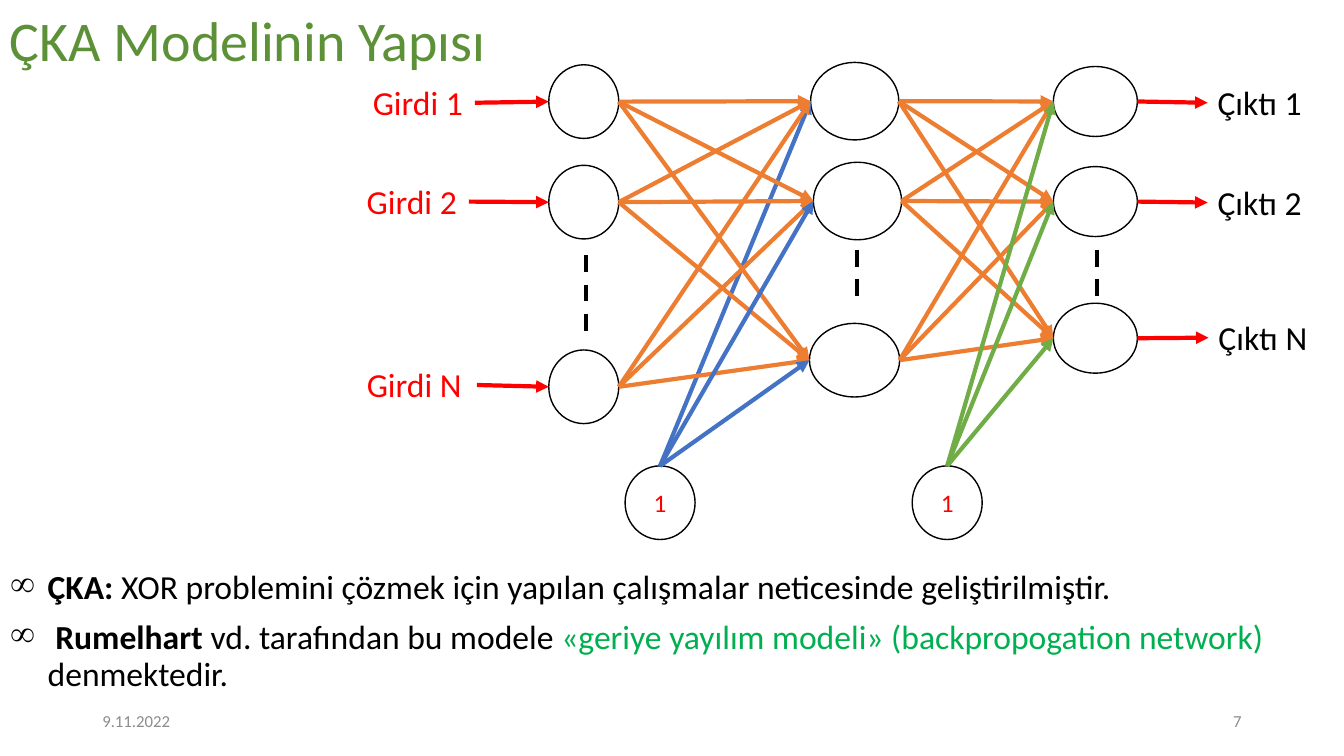
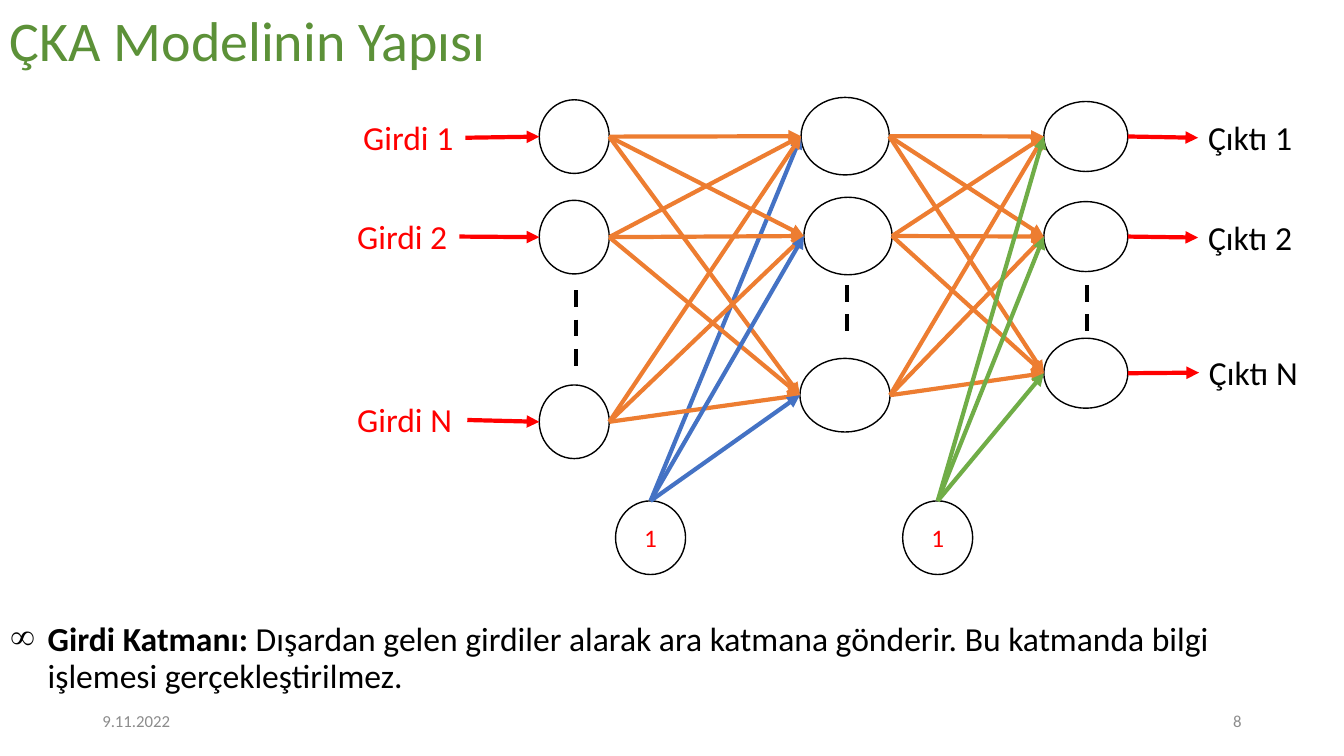
from itertools import product

from pptx import Presentation
from pptx.dml.color import RGBColor
from pptx.enum.dml import MSO_LINE
from pptx.enum.shapes import MSO_CONNECTOR, MSO_SHAPE, MSO_SHAPE_TYPE as KIND
from pptx.enum.text import MSO_ANCHOR as ANCHOR, PP_ALIGN as ALIGN
from pptx.oxml.ns import qn
from pptx.util import Pt
from lxml.etree import SubElement

BLACK = RGBColor(0x00, 0x00, 0x00)
RED = RGBColor(0xFF, 0x00, 0x00)
BLUE = RGBColor(0x44, 0x72, 0xC4)
ORANGE = RGBColor(0xED, 0x7D, 0x31)
GREEN = RGBColor(0x70, 0xAD, 0x47)
LIME = RGBColor(0x00, 0xB0, 0x50)
OLIVE = RGBColor(0x5C, 0x91, 0x38)
GRAY = RGBColor(0x8C, 0x8C, 0x8C)

FONT = "Calibri"
TOP, LEFT, RIGHT = 0, 1, 3
ROUND = (50, 52.6)

# Left, top, width, height
INPUTS = [(392, y, *ROUND) for y in (46.3, 118.1, 250)]
HIDDEN = [(579, 44.6, 63, 55.4), (581, 115.9, 63, 55.4), (578.2, 231, 64.4, 52.6)]
OUTPUTS = [(752.4, y, 60, 50) for y in (47.5, 119, 216.6)]
BIASES = [(x, 332.8, *ROUND) for x in (446.5, 651.6)]
SOURCES = [("Girdi 1", 259.2, 58.3, 80), ("Girdi 2", 254.9, 128.9, 80),
           ("Girdi N", 254.9, 259.9, 85.7)]
RESULTS = [("Çıktı 1", 862.6, 58.3, 80), ("Çıktı 2", 862.6, 129.6, 80),
           ("Çıktı N", 863.3, 226.1, 80)]
DOTS = [(418.5, 182.2, 244.8), (612, 178.6, 216.7), (783.4, 178.6, 216.7)]

SLIDES = [
    (7, 404, (0, 0), [
        [("ÇKA: ", BLACK, True),
         ("XOR problemini çözmek için yapılan çalışmalar neticesinde geliştirilmiştir.",
          BLACK, False)],
        [(" Rumelhart ", BLACK, True),
         ("vd. tarafından bu modele ", BLACK, False),
         ("«geriye yayılım modeli» (backpropogation network) ", LIME, False),
         ("denmektedir.", BLACK, False)]]),
    (8, 441.4, (-6.8, 25), [
        [("Girdi Katmanı: ", BLACK, True),
         ("Dışardan gelen girdiler alarak ara katmana gönderir. "
          "Bu katmanda bilgi işlemesi gerçekleştirilmez.", BLACK, False)]]),
]


def write(shape, paras, size=24, align=ALIGN.LEFT, anchor=ANCHOR.TOP,
          space=None, before=None, bullet=None):
    """Fill a shape with paragraphs, each a list of (text, colour, bold)."""
    frame = shape.text_frame
    frame.word_wrap = True
    frame.vertical_anchor = anchor
    for i, runs in enumerate(paras):
        para = frame.add_paragraph() if i else frame.paragraphs[0]
        para.alignment = align
        para.line_spacing = space
        para.space_before = before
        if bullet:
            props = para._p.get_or_add_pPr()
            props.set("marL", str(Pt(27)))
            props.set("indent", str(-Pt(27)))
            SubElement(props, qn("a:buChar")).set("char", bullet)
        for text, color, bold in runs:
            run = para.add_run()
            run.text = text
            font = run.font
            font.name, font.size, font.bold = FONT, Pt(size), bold
            font.color.rgb = color


def add_text(shapes, box, paras, **style):
    shape = shapes.add_textbox(*map(Pt, box))
    write(shape, paras, **style)
    return shape


def add_node(shapes, box):
    node = shapes.add_shape(MSO_SHAPE.OVAL, *map(Pt, box))
    node.shadow.inherit = False
    node.fill.background()
    node.line.color.rgb = BLACK
    node.line.width = Pt(1)
    return node


def add_bias(shapes, box):
    node = add_node(shapes, box)
    write(node, [[("1", RED, False)]], size=18, align=ALIGN.CENTER,
          anchor=ANCHOR.MIDDLE)
    return node


def add_label(shapes, text, x, y, width, color):
    return add_text(shapes, (x, y, width, 30.2), [[(text, color, False)]],
                    space=0.9, before=Pt(10))


def add_line(shapes, ends, color):
    line = shapes.add_connector(MSO_CONNECTOR.STRAIGHT, *ends)
    line.line.color.rgb = color
    line.line.width = Pt(3)
    SubElement(line.element.spPr, qn("a:effectLst"))
    return line


def add_arrow(shapes, start, end, color, sides=(RIGHT, LEFT)):
    """Join two shapes; an oval has eight sites, so its side numbers double."""
    arrow = add_line(shapes, (start.left, start.top, end.left, end.top), color)
    arrow.begin_connect(start, sides[0])
    arrow.end_connect(end, sides[1])
    for shape, side, tag in zip((start, end), sides, ("a:stCxn", "a:endCxn")):
        if shape.shape_type != KIND.TEXT_BOX:
            site = next(arrow.element.iter(qn(tag)))
            site.set("idx", str(side * 2))
    SubElement(arrow.line._get_or_add_ln(), qn("a:tailEnd")).set("type", "triangle")


def join_all(shapes, starts, ends, color, sides=(RIGHT, LEFT)):
    for start, end in product(starts, ends):
        add_arrow(shapes, start, end, color, sides)


def add_net(slide, shift):
    group = slide.shapes.add_group_shape()
    shapes = group.shapes
    inputs, hidden, outputs = [[add_node(shapes, box) for box in layer]
                               for layer in (INPUTS, HIDDEN, OUTPUTS)]
    first, second = [add_bias(shapes, box) for box in BIASES]

    for item, node in zip(SOURCES, inputs):
        add_arrow(shapes, add_label(shapes, *item, RED), node, RED)
    for item, node in zip(RESULTS, outputs):
        add_arrow(shapes, node, add_label(shapes, *item, BLACK), RED)

    rise = (TOP, LEFT)
    join_all(shapes, [first], hidden[:1], BLUE, rise)
    join_all(shapes, inputs, hidden, ORANGE)
    join_all(shapes, hidden, outputs, ORANGE)
    join_all(shapes, [first], hidden[1:], BLUE, rise)
    join_all(shapes, [second], outputs, GREEN, rise)

    for x, top, end in DOTS:
        dots = add_line(shapes, map(Pt, (x, top, x, end)), BLACK)
        dots.line.dash_style = MSO_LINE.DASH

    group.left += Pt(shift[0])
    group.top += Pt(shift[1])


def add_frame(slide, number):
    """Add the title, date and page number."""
    shapes = slide.shapes
    add_text(shapes, (0, 0, 646, 56), [[("ÇKA Modelinin Yapısı", OLIVE, False)]],
             size=40, anchor=ANCHOR.BOTTOM, space=0.9)
    for x, text, align in ((66, "9.11.2022", ALIGN.LEFT),
                           (678, str(number), ALIGN.RIGHT)):
        add_text(shapes, (x, 500.5, 216, 28.8), [[(text, GRAY, False)]],
                 size=12, align=align, anchor=ANCHOR.MIDDLE)


def main():
    deck = Presentation()
    deck.slide_width, deck.slide_height = Pt(960), Pt(540)
    for number, top, shift, paras in SLIDES:
        slide = deck.slides.add_slide(deck.slide_layouts[6])
        add_frame(slide, number)
        add_net(slide, shift)
        add_text(slide.shapes, (0, top, 914.4, 60), paras, space=0.9,
                 before=Pt(10), bullet="∞")
    deck.save("out.pptx")


if __name__ == "__main__":
    main()
